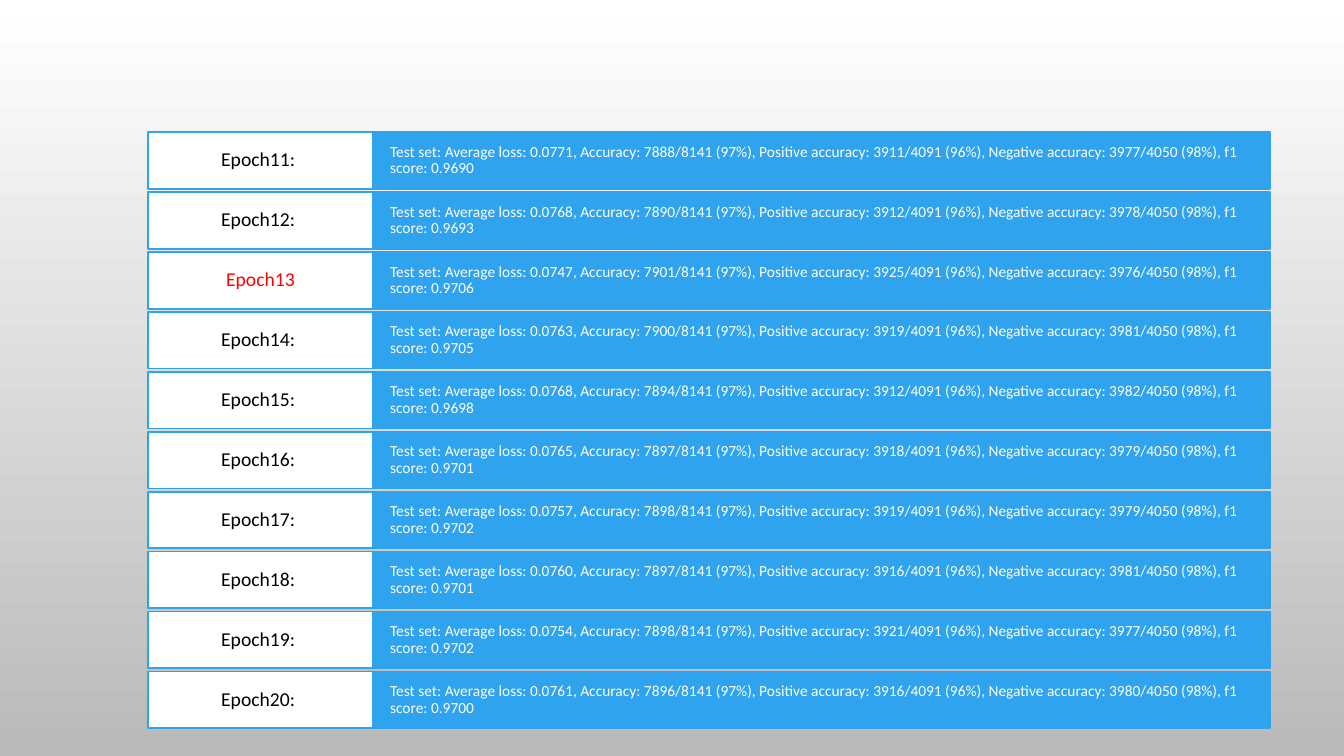
from pptx import Presentation
from pptx.dml.color import RGBColor
from pptx.enum.shapes import MSO_SHAPE
from pptx.enum.text import MSO_ANCHOR, PP_ALIGN
from pptx.util import Cm, Pt

RECTANGLE = MSO_SHAPE.RECTANGLE
MIDDLE = MSO_ANCHOR.MIDDLE
LEFT, CENTER = PP_ALIGN.LEFT, PP_ALIGN.CENTER

BLUE = RGBColor(0x2F, 0xA3, 0xEE)
WHITE = RGBColor(0xFF, 0xFF, 0xFF)
GREY = RGBColor(0xB9, 0xB9, 0xB9)
BLACK = RGBColor(0, 0, 0)
RED = RGBColor(0xFF, 0, 0)

# Epoch label, average loss, correct positives, correct negatives, f1 score
RESULTS = [
    ("Epoch11: ", "0.0771", 3911, 3977, "0.9690"),
    ("Epoch12: ", "0.0768", 3912, 3978, "0.9693"),
    ("Epoch13", "0.0747", 3925, 3976, "0.9706"),
    ("Epoch14: ", "0.0763", 3919, 3981, "0.9705"),
    ("Epoch15: ", "0.0768", 3912, 3982, "0.9698"),
    ("Epoch16: ", "0.0765", 3918, 3979, "0.9701"),
    ("Epoch17: ", "0.0757", 3919, 3979, "0.9702"),
    ("Epoch18: ", "0.0760", 3916, 3981, "0.9701"),
    ("Epoch19: ", "0.0754", 3921, 3977, "0.9702"),
    ("Epoch20: ", "0.0761", 3916, 3980, "0.9700"),
]
BEST_EPOCH = "Epoch13"
POSITIVES, NEGATIVES = 4091, 4050

ROWS_TOP, ROW_PITCH, ROW_HEIGHT = 3.33, 1.51, 1.43
EPOCH_LEFT, EPOCH_WIDTH, METRICS_WIDTH = 3.73, 5.67, 22.6


def ratio(correct, total):
    return f"{correct}/{total} ({correct / total:.0%})"


def metrics_text(loss, positive, negative, f1):
    accuracy = ratio(positive + negative, POSITIVES + NEGATIVES)
    return (f"Test set: Average loss: {loss}, Accuracy: {accuracy}, "
            f"Positive accuracy: {ratio(positive, POSITIVES)}, "
            f"Negative accuracy: {ratio(negative, NEGATIVES)}, f1 score: {f1}")


def add_cell(slide, text, *, left, top, width, fill, color, size, align, inset_x, inset_y):
    cell = slide.shapes.add_shape(RECTANGLE, Cm(left), Cm(top), Cm(width), Cm(ROW_HEIGHT))
    cell.shadow.inherit = False
    cell.fill.solid()
    cell.fill.fore_color.rgb = fill
    cell.line.color.rgb = BLUE
    cell.line.width = Pt(1.25)

    frame = cell.text_frame
    frame.word_wrap = True
    frame.vertical_anchor = MIDDLE
    frame.margin_left = frame.margin_right = Cm(inset_x)
    frame.margin_top = frame.margin_bottom = Cm(inset_y)
    paragraph = frame.paragraphs[0]
    paragraph.alignment = align
    paragraph.line_spacing = 0.9
    run = paragraph.add_run()
    run.text = text
    run.font.name = "Calibri"
    run.font.size = Pt(size)
    run.font.color.rgb = color


def main():
    prs = Presentation()
    prs.slide_width, prs.slide_height = Cm(33.87), Cm(19.05)
    slide = prs.slides.add_slide(prs.slide_layouts[6])

    backdrop = slide.background.fill
    backdrop.gradient()
    backdrop.gradient_angle = 270
    for stop, color in zip(backdrop.gradient_stops, (WHITE, GREY)):
        stop.color.rgb = color

    for row, (epoch, *metrics) in enumerate(RESULTS):
        top = ROWS_TOP + row * ROW_PITCH
        add_cell(slide, metrics_text(*metrics), left=EPOCH_LEFT + EPOCH_WIDTH, top=top,
                 width=METRICS_WIDTH, fill=BLUE, color=WHITE, size=11, align=LEFT,
                 inset_x=0.43, inset_y=0.36)
        add_cell(slide, epoch, left=EPOCH_LEFT, top=top, width=EPOCH_WIDTH, fill=WHITE,
                 color=RED if epoch == BEST_EPOCH else BLACK, size=14, align=CENTER,
                 inset_x=0.3, inset_y=0.15)

    prs.save("out.pptx")


if __name__ == "__main__":
    main()
